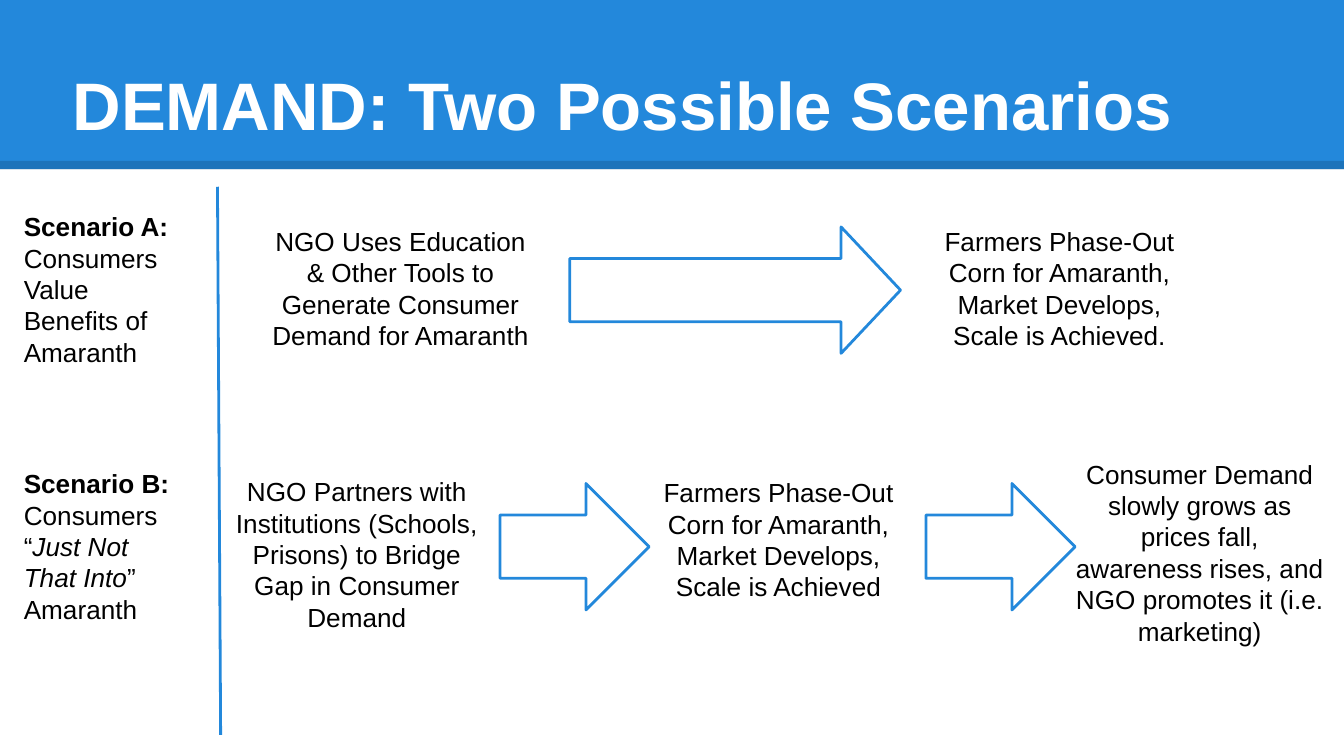
from dataclasses import dataclass
from lxml.etree import SubElement
from pptx import Presentation
from pptx.dml.color import RGBColor
from pptx.enum.shapes import MSO_CONNECTOR, MSO_SHAPE
from pptx.enum.text import MSO_ANCHOR, MSO_AUTO_SIZE, PP_ALIGN
from pptx.oxml.ns import qn
from pptx.util import Cm, Pt

BLUE, WHITE, BLACK = "2388DB", "FFFFFF", "000000"
WIDE, HIGH = 25.4, 14.29


@dataclass
class Box:
    left: float
    top: float
    width: float
    height: float

    def lengths(self):
        return [Cm(n) for n in (self.left, self.top, self.width, self.height)]


@dataclass
class Label:
    """Text in a box; each run is (text, style), where style is "", "b" or "i"."""
    box: Box
    runs: list[tuple[str, str]]
    align: PP_ALIGN = PP_ALIGN.CENTER


@dataclass
class Arrow:
    box: Box
    head: float = 0.5


def step(text: str, *box: float) -> Label:
    return Label(Box(*box), [(text, "")])


def scene(top: float, *runs: tuple[str, str]) -> Label:
    return Label(Box(0.2, top, 3.58, 3.84), list(runs), PP_ALIGN.LEFT)


LABELS = [
    step("NGO Uses Education & Other Tools to Generate Consumer Demand for Amaranth",
         4.88, 4.01, 5.38, 3.53),
    step("Farmers Phase-Out Corn for Amaranth, Market Develops, Scale is Achieved.",
         17.5, 4.01, 5.05, 3.18),
    step("NGO Partners with Institutions (Schools, Prisons) to Bridge Gap in "
         "Consumer Demand", 4.14, 8.74, 5.21, 3.53),
    step("Farmers Phase-Out Corn for Amaranth, Market Develops, Scale is Achieved",
         12.19, 8.76, 5.05, 3.18),
    step("Consumer Demand slowly grows as prices fall, awareness rises, and NGO "
         "promotes it (i.e. marketing)", 20.07, 8.41, 5.21, 4.52),
    scene(3.73, ("Scenario A:", "b"), (" Consumers Value Benefits of Amaranth", "")),
    scene(8.59, ("Scenario B:", "b"), (" Consumers “", ""),
          ("Just Not That Into", "i"), ("” Amaranth", "")),
]
ARROWS = [
    Arrow(Box(10.77, 4.29, 6.25, 2.39), 0.47),
    Arrow(Box(9.45, 9.14, 2.82, 2.39)),
    Arrow(Box(17.5, 9.14, 2.82, 2.39)),
]


def paint(part, color: str) -> None:
    """Give a fill one solid colour."""
    part.solid()
    part.fore_color.rgb = RGBColor.from_string(color)


def write(shape, runs, *, size=14, color=BLACK, align=PP_ALIGN.LEFT,
          anchor=MSO_ANCHOR.TOP) -> None:
    frame = shape.text_frame
    frame.word_wrap = True
    frame.auto_size = MSO_AUTO_SIZE.NONE
    frame.vertical_anchor = anchor
    frame.margin_left = frame.margin_right = Cm(0.25)
    frame.margin_top = frame.margin_bottom = Cm(0.25)
    para = frame.paragraphs[0]
    para.alignment = align
    for text, style in runs:
        run = para.add_run()
        run.text = text
        font = run.font
        font.name, font.size = "Arial", Pt(size)
        font.bold, font.italic = style == "b", style == "i"
        paint(font.fill, color)


def block(slide, kind: MSO_SHAPE, box: Box, fill: str):
    shape = slide.shapes.add_shape(kind, *box.lengths())
    shape.shadow.inherit = False
    paint(shape.fill, fill)
    shape.line.fill.background()
    return shape


def rule(slide, start, end, color: str, width: float):
    """Draw a straight line without a shadow."""
    ends = [Cm(n) for n in (*start, *end)]
    line = slide.shapes.add_connector(MSO_CONNECTOR.STRAIGHT, *ends)
    paint(line.line.fill, color)
    line.line.width = Pt(width)
    SubElement(line.element.spPr, qn("a:effectLst"))
    return line


def banner(slide) -> None:
    block(slide, MSO_SHAPE.RECTANGLE, Box(0, 0, WIDE, 3.2), BLUE)
    edge = rule(slide, (0, 3.12), (WIDE, 3.12), BLACK, 4.5)
    tint = edge.element.spPr.find(".//" + qn("a:srgbClr"))
    SubElement(tint, qn("a:alpha"), val="15000")
    title = slide.shapes.title
    title.left, title.top, title.width, title.height = (
        Box(1.12, 0.58, 24.03, 2.39).lengths())
    write(title, [("DEMAND: Two Possible Scenarios", "b")], size=36,
          color=WHITE, anchor=MSO_ANCHOR.BOTTOM)
    title.element.getparent().append(title.element)  # in front of the banner


def point(slide, arrow: Arrow) -> None:
    """Draw an outlined block arrow."""
    shape = block(slide, MSO_SHAPE.RIGHT_ARROW, arrow.box, WHITE)
    shape.adjustments[0] = 0.5
    shape.adjustments[1] = arrow.head
    paint(shape.line.fill, BLUE)
    shape.line.width = Pt(1.5)


def main() -> None:
    deck = Presentation()
    deck.slide_width, deck.slide_height = Cm(WIDE), Cm(HIGH)
    slide = deck.slides.add_slide(deck.slide_layouts[5])
    banner(slide)
    for arrow in ARROWS:
        point(slide, arrow)
    for label in LABELS:
        shape = slide.shapes.add_textbox(*label.box.lengths())
        write(shape, label.runs, align=label.align)
    rule(slide, (4.11, 3.53), (4.17, 13.89), BLUE, 1.5)
    deck.save("out.pptx")


if __name__ == "__main__":
    main()
